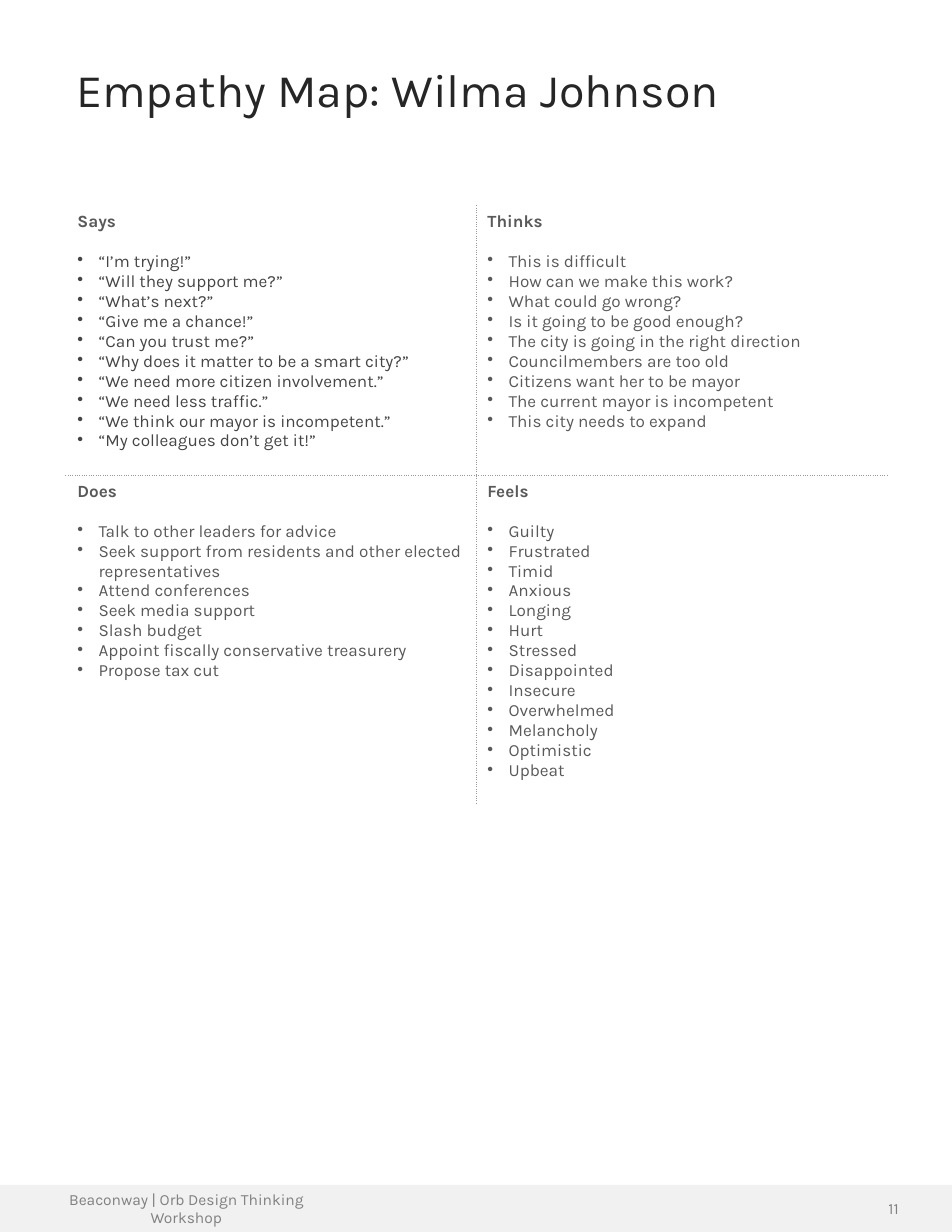
from dataclasses import dataclass

from lxml.etree import SubElement
from pptx import Presentation
from pptx.dml.color import RGBColor
from pptx.enum.shapes import MSO_SHAPE as Preset
from pptx.enum.text import MSO_ANCHOR as Anchor, MSO_AUTO_SIZE as AutoSize, PP_ALIGN as Align
from pptx.oxml import parse_xml
from pptx.oxml.ns import nsdecls, qn
from pptx.slide import Slide
from pptx.table import Table, _Cell as Cell
from pptx.text.text import _Paragraph as Para
from pptx.util import Cm, Pt


@dataclass(frozen=True)
class Theme:
    font: str = "Karla"
    title: str = "262626"
    text: str = "595959"
    quote: str = "454545"
    footer: str = "808080"
    band: str = "F1F1F1"
    rule: str = "999999"
    title_size: float = 30
    text_size: float = 11
    footer_size: float = 10
    heading_gap: float = 12.86


@dataclass(frozen=True)
class Quadrant:
    row: int
    column: int
    heading: str
    items: tuple[str, ...]
    color: str


@dataclass(frozen=True)
class FooterText:
    left: float
    width: float
    inset: float
    text: str


THEME = Theme()
PAGE_WIDTH, PAGE_HEIGHT = 21.59, 27.94
BAND_TOP, BAND_HEIGHT = 26.87, 1.07
COLUMN_WIDTH = 9.3
ROW_HEIGHTS = (6.12, 7.47)
BULLET_INDENT = 0.48

QUADRANTS = (
    Quadrant(0, 0, "Says", (
        "“I’m trying!”",
        "“Will they support me?”",
        "“What’s next?”",
        "“Give me a chance!”",
        "“Can you trust me?”",
        "“Why does it matter to be a smart city?”",
        "“We need more citizen involvement.”",
        "“We need less traffic.”",
        "“We think our mayor is incompetent.”",
        "“My colleagues don’t get it!”",
    ), THEME.quote),
    Quadrant(0, 1, "Thinks", (
        "This is difficult",
        "How can we make this work?",
        "What could go wrong?",
        "Is it going to be good enough?",
        "The city is going in the right direction",
        "Councilmembers are too old",
        "Citizens want her to be mayor",
        "The current mayor is incompetent",
        "This city needs to expand",
    ), THEME.text),
    Quadrant(1, 0, "Does", (
        "Talk to other leaders for advice",
        "Seek support from residents and other elected representatives",
        "Attend conferences",
        "Seek media support",
        "Slash budget",
        "Appoint fiscally conservative treasurery",
        "Propose tax cut",
    ), THEME.text),
    Quadrant(1, 1, "Feels", (
        "Guilty", "Frustrated", "Timid", "Anxious", "Longing", "Hurt", "Stressed",
        "Disappointed", "Insecure", "Overwhelmed", "Melancholy", "Optimistic", "Upbeat",
    ), THEME.text),
)

FOOTER_TEXTS = (
    FooterText(19.53, 1.47, 0.25, "11"),
    FooterText(0.58, 7.29, 0.4, "Beaconway | Orb Design Thinking Workshop"),
)


def style_runs(para: Para, size: float, color: str, bold: bool = False) -> None:
    for span in para.runs:
        span.font.name = THEME.font
        span.font.size = Pt(size)
        span.font.bold = bold
        span.font.color.rgb = RGBColor.from_string(color)


def add_bullet(para: Para) -> None:
    properties = para._p.get_or_add_pPr()
    properties.set("marL", str(Cm(BULLET_INDENT)))
    properties.set("indent", str(-Cm(BULLET_INDENT)))
    SubElement(properties, qn("a:buChar")).set("char", "•")


def draw_inner_borders(cell: Cell, quadrant: Quadrant) -> None:
    sides = ("R" if quadrant.column == 0 else "L", "B" if quadrant.row == 0 else "T")
    for position, side in enumerate(sides):
        border = parse_xml(
            f'<a:ln{side} {nsdecls("a")} w="{Pt(1)}"><a:solidFill>'
            f'<a:srgbClr val="{THEME.rule}"/></a:solidFill>'
            f'<a:prstDash val="dot"/></a:ln{side}>'
        )
        cell._tc.get_or_add_tcPr().insert(position, border)


def fill_quadrant(table: Table, quadrant: Quadrant) -> None:
    cell = table.cell(quadrant.row, quadrant.column)
    cell.fill.background()
    draw_inner_borders(cell, quadrant)
    cell.text_frame.text = "\n".join((quadrant.heading, *quadrant.items))
    heading, *items = cell.text_frame.paragraphs
    heading.space_after = Pt(THEME.heading_gap)
    style_runs(heading, THEME.text_size, THEME.text, bold=True)
    for para in items:
        add_bullet(para)
        style_runs(para, THEME.text_size, quadrant.color)


def add_map(page: Slide) -> None:
    frame = page.shapes.add_table(
        2, 2, Cm(1.5), Cm(4.67), Cm(2 * COLUMN_WIDTH), Cm(sum(ROW_HEIGHTS))
    )
    table = frame.table
    table.first_row = False
    table.horz_banding = False
    for column in table.columns:
        column.width = Cm(COLUMN_WIDTH)
    for row, height in zip(table.rows, ROW_HEIGHTS):
        row.height = Cm(height)
    for quadrant in QUADRANTS:
        fill_quadrant(table, quadrant)


def add_title(page: Slide, text: str) -> None:
    title = page.shapes.title
    title.left, title.top, title.width, title.height = Cm(1.47), Cm(1.4), Cm(18.06), Cm(2.64)
    frame = title.text_frame
    frame.text = text
    frame.auto_size = AutoSize.NONE
    frame.vertical_anchor = Anchor.TOP
    para = frame.paragraphs[0]
    para.alignment = Align.LEFT
    para.line_spacing = 0.9
    style_runs(para, THEME.title_size, THEME.title)


def add_band(page: Slide) -> None:
    band = page.shapes.add_shape(
        Preset.RECTANGLE, 0, Cm(BAND_TOP), Cm(PAGE_WIDTH), Cm(BAND_HEIGHT)
    )
    band.shadow.inherit = False
    band.fill.solid()
    band.fill.fore_color.rgb = RGBColor.from_string(THEME.band)
    band.line.fill.background()


def add_footer_text(page: Slide, footer: FooterText) -> None:
    box = page.shapes.add_textbox(
        Cm(footer.left), Cm(BAND_TOP), Cm(footer.width), Cm(BAND_HEIGHT)
    )
    frame = box.text_frame
    frame.text = footer.text
    frame.word_wrap = True
    frame.vertical_anchor = Anchor.MIDDLE
    frame.margin_left = frame.margin_right = Cm(footer.inset)
    para = frame.paragraphs[0]
    para.alignment = Align.CENTER
    style_runs(para, THEME.footer_size, THEME.footer)


def main() -> None:
    deck = Presentation()
    deck.slide_width, deck.slide_height = Cm(PAGE_WIDTH), Cm(PAGE_HEIGHT)
    page = deck.slides.add_slide(deck.slide_layouts.get_by_name("Title Only"))
    add_band(page)
    add_map(page)
    add_title(page, "Empathy Map: Wilma Johnson")
    for footer in FOOTER_TEXTS:
        add_footer_text(page, footer)
    deck.save("out.pptx")


if __name__ == "__main__":
    main()
